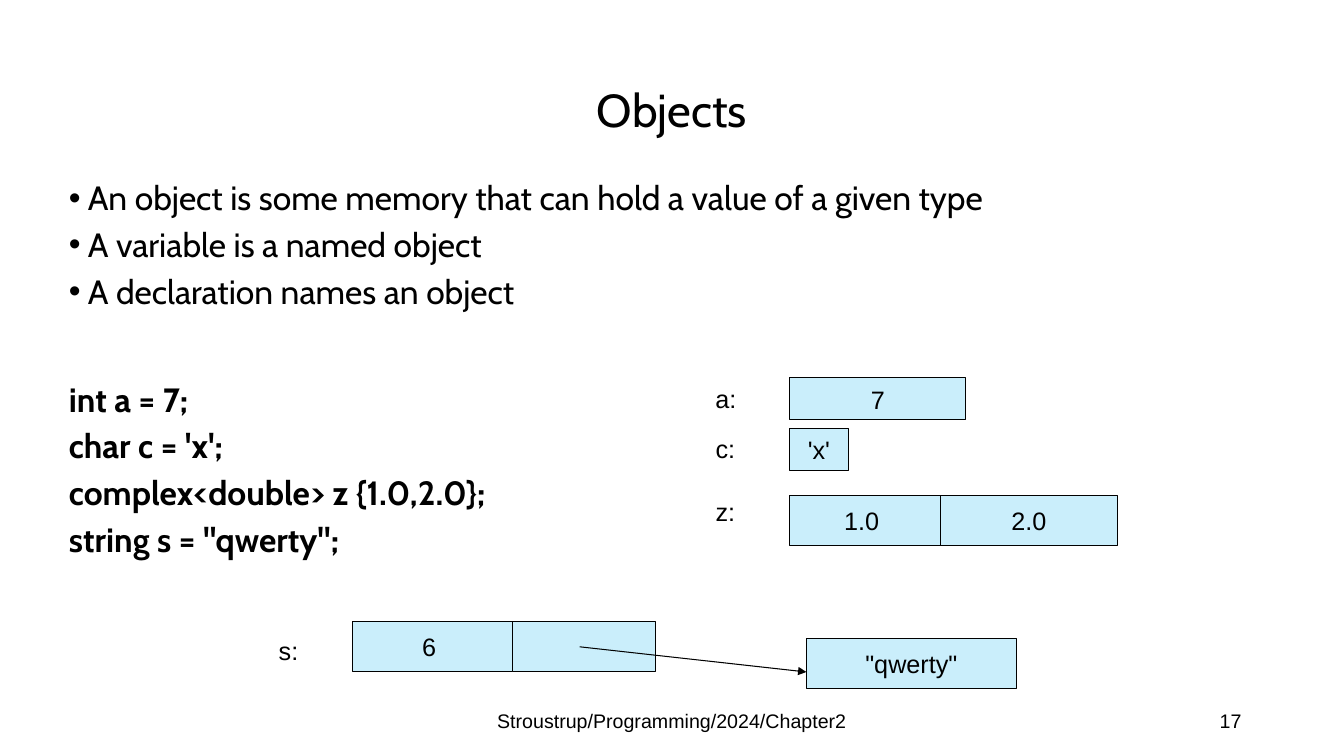
from dataclasses import dataclass

from lxml.etree import SubElement
from pptx import Presentation
from pptx.dml.color import RGBColor
from pptx.enum.shapes import MSO_CONNECTOR, MSO_SHAPE
from pptx.enum.text import MSO_ANCHOR as Anchor, MSO_AUTO_SIZE as AutoSize, PP_ALIGN as Align
from pptx.oxml.ns import qn
from pptx.util import Emu, Pt

PX = 9525  # 96 px to the inch
BLACK = RGBColor(0x00, 0x00, 0x00)
PALE_BLUE = RGBColor(0xCA, 0xEE, 0xFB)
LINE_WIDTH = Pt(0.75)
INDENT = 18


@dataclass(frozen=True)
class Box:
    x: int
    y: int
    w: int
    h: int


@dataclass(frozen=True)
class Item:
    text: str
    box: Box
    align: Align = Align.LEFT


FACTS = (
    "An object is some memory that can hold a value of a given type\n"
    "A variable is a named object\n"
    "A declaration names an object"
)
CODE = (
    "int a = 7;\n"
    "char c = 'x';\n"
    "complex<double> z {1.0,2.0};\n"
    'string s = "qwerty";'
)
CELLS = [
    Item("7", Box(752, 360, 168, 40)),
    Item("'x'", Box(752, 408, 56, 40)),
    Item("1.0 ", Box(752, 472, 144, 48)),
    Item("2.0", Box(896, 472, 168, 48)),
    Item("6 ", Box(336, 592, 152, 48)),
    Item("", Box(488, 592, 136, 48)),
    Item('"qwerty"', Box(768, 608, 200, 48)),
]
LABELS = [
    Item("a:", Box(672, 360, 56, 38)),
    Item("c:", Box(672, 408, 64, 38)),
    Item("z:", Box(672, 468, 50, 38)),
    Item("s:", Box(256, 600, 64, 38)),
]
FOOTERS = [
    Item("Stroustrup/Programming/2024/Chapter2", Box(424, 667, 432, 38), Align.CENTER),
    Item("17", Box(904, 667, 288, 38), Align.RIGHT),
]


def px(n: int) -> Emu:
    return Emu(n * PX)


def emu(box: Box) -> tuple[Emu, ...]:
    return px(box.x), px(box.y), px(box.w), px(box.h)


def write(sp, text: str, *, size: int, font: str = "Arial", bold: bool = False,
          align: Align = Align.LEFT, anchor: Anchor = Anchor.MIDDLE, wrap: bool = True,
          spacing: float = 1.0, before: float = 0) -> None:
    """Put one paragraph per line of text into the shape."""
    tf = sp.text_frame
    tf.auto_size = AutoSize.NONE
    tf.word_wrap = wrap
    tf.vertical_anchor = anchor
    for i, line in enumerate(text.split("\n")):
        p = tf.paragraphs[0] if i == 0 else tf.add_paragraph()
        p.alignment = align
        p.line_spacing = spacing
        p.space_before = Pt(before)
        r = p.add_run()
        r.text = line
        r.font.size = Pt(size)
        r.font.name = font
        r.font.bold = bold
        r.font.color.rgb = BLACK


def place(sp, box: Box) -> None:
    sp.left, sp.top, sp.width, sp.height = emu(box)


def add_list(sp, text: str, box: Box, *, bullet: str = "", bold: bool = False) -> None:
    place(sp, box)
    write(sp, text, size=24, font="Cabin", bold=bold, anchor=Anchor.TOP,
          spacing=0.9, before=7.5)
    for p in sp.text_frame.paragraphs:
        ppr = p._p.get_or_add_pPr()
        ppr.set("marL", str(px(INDENT)))
        ppr.set("indent", str(-px(INDENT)))
        if bullet:
            SubElement(ppr, qn("a:buFont"), typeface="Arial")
            SubElement(ppr, qn("a:buChar"), char=bullet)
        else:
            SubElement(ppr, qn("a:buNone"))


def add_cell(s, item: Item) -> None:
    sp = s.shapes.add_shape(MSO_SHAPE.RECTANGLE, *emu(item.box))
    sp.shadow.inherit = False
    sp.fill.solid()
    sp.fill.fore_color.rgb = PALE_BLUE
    sp.line.color.rgb = BLACK
    sp.line.width = LINE_WIDTH
    if item.text:
        write(sp, item.text, size=18, align=Align.CENTER, wrap=False)


def add_text(s, item: Item, *, size: int, anchor: Anchor) -> None:
    sp = s.shapes.add_textbox(*emu(item.box))
    write(sp, item.text, size=size, align=item.align, anchor=anchor)


def add_arrow(s, x1: int, y1: int, x2: int, y2: int) -> None:
    arrow = s.shapes.add_connector(MSO_CONNECTOR.STRAIGHT, px(x1), px(y1), px(x2), px(y2))
    arrow.line.color.rgb = BLACK
    arrow.line.width = LINE_WIDTH
    SubElement(arrow.line._get_or_add_ln(), qn("a:tailEnd"), type="triangle")
    SubElement(arrow._element.spPr, qn("a:effectLst"))


def main() -> None:
    prs = Presentation()
    prs.slide_width, prs.slide_height = px(1280), px(720)
    s = prs.slides.add_slide(prs.slide_layouts.get_by_name("Two Content"))

    title, facts, code = list(s.placeholders)[:3]
    place(title, Box(88, 38, 1104, 139))
    write(title, "Objects", size=33, font="Cabin", align=Align.CENTER, spacing=0.9)
    add_list(facts, FACTS, Box(56, 168, 1040, 176), bullet="•")
    add_list(code, CODE, Box(56, 360, 592, 339), bold=True)

    for footer in FOOTERS:
        add_text(s, footer, size=14, anchor=Anchor.MIDDLE)
    for cell in CELLS:
        add_cell(s, cell)
    add_arrow(s, 552, 616, 768, 640)
    for label in LABELS:
        add_text(s, label, size=18, anchor=Anchor.TOP)

    prs.save("out.pptx")


if __name__ == "__main__":
    main()
